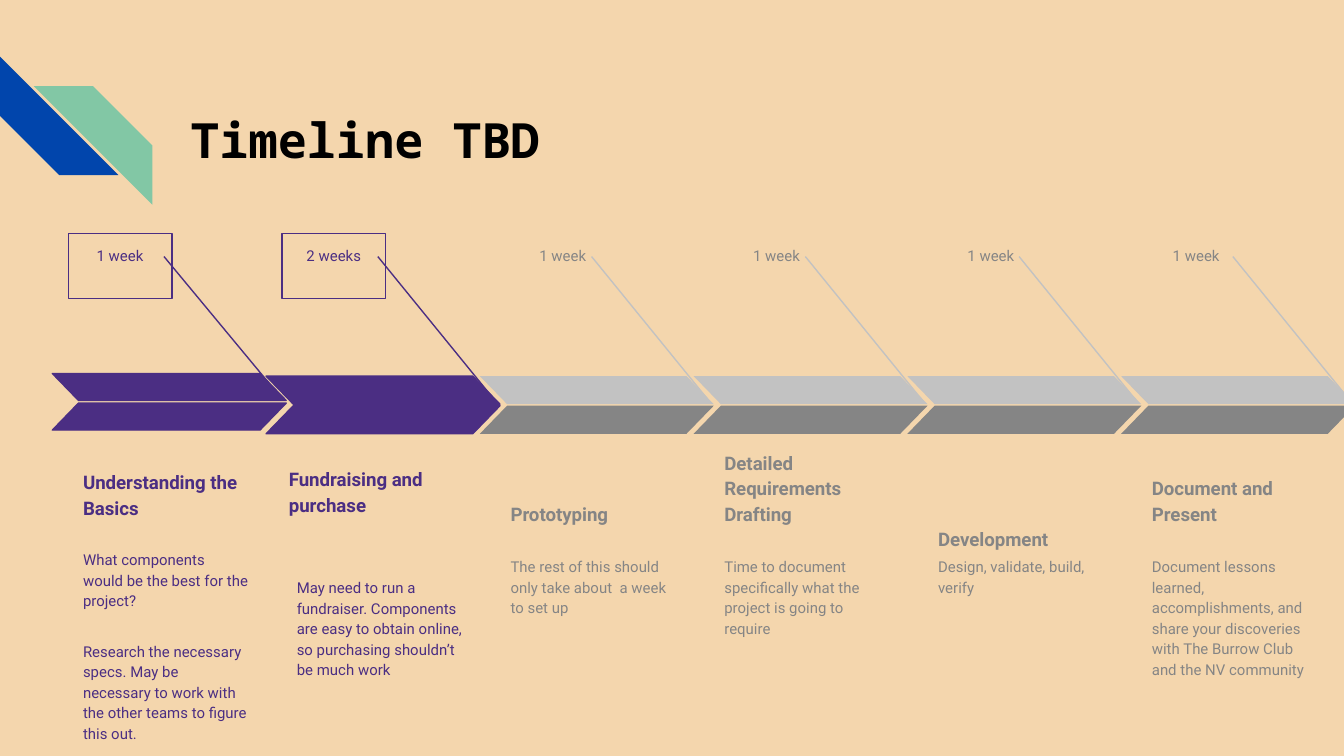
import dataclasses

import lxml.etree
import pptx
import pptx.dml.color
import pptx.enum.shapes
import pptx.enum.text
import pptx.oxml.ns
import pptx.util

Cm = pptx.util.Cm
Pt = pptx.util.Pt
Shape = pptx.enum.shapes.MSO_SHAPE
Anchor = pptx.enum.text.MSO_ANCHOR
Align = pptx.enum.text.PP_ALIGN


@dataclasses.dataclass(frozen=True)
class Theme:
    background: str = "F4D6AD"
    blue: str = "0145AC"
    green: str = "82C7A5"
    black: str = "000000"
    active: str = "4B2E83"
    light: str = "C2C2C2"
    dark: str = "858585"
    title_font: str = "Noto Sans Mono"
    body_font: str = "Roboto"
    title_size: float = 26
    heading_size: float = 10
    body_size: float = 8
    line_width: float = 0.75
    line_spacing: float = 1.15
    paragraph_gap: float = 16


@dataclasses.dataclass(frozen=True)
class Stage:
    duration: str
    heading: str
    details: str
    active: bool = False
    label: tuple = (0.3, 0, 1.96, 0.89)
    arrow_top: float = 2.69
    arrow_height: float = 0.53
    heading_box: tuple = (0.33, 4.11, 3.63, 1.65)
    details_box: tuple = (0.33, 5.82, 3.63, 2.72)


THEME = Theme()
PITCH = 4.04
ARROW_WIDTH = 4.42
ARROW_PITCH = 0.56

STAGES = [
    Stage("1 week", "Understanding the Basics",
          "What components would be the best for the project?\n"
          "Research the necessary specs. May be necessary to work with "
          "the other teams to figure this out.",
          active=True, label=(0.3, 0, 1.96, 1.22), arrow_top=2.64, arrow_height=0.51,
          heading_box=(0.33, 4.04, 3.63, 1.6), details_box=(0.33, 5.69, 3.63, 3.28)),
    Stage("2 weeks", "Fundraising and purchase",
          "May need to run a fundraiser. Components are easy to obtain online, "
          "so purchasing shouldn’t be much work",
          active=True, label=(0.3, 0, 1.96, 1.22),
          heading_box=(0.18, 3.86, 4.06, 1.73), details_box=(0.33, 6.22, 3.63, 2.72)),
    Stage("1 week", "Prototyping",
          "The rest of this should only take about  a week to set up"),
    Stage("1 week", "Detailed Requirements Drafting",
          "Time to document specifically what the project is going to require"),
    Stage("1 week", "Development", "Design, validate, build, verify",
          label=(0.03, 0, 2.24, 0.89), heading_box=(0.33, 4.11, 3.63, 2.11)),
    Stage("1 week", "Document and Present",
          "Document lessons learned, accomplishments, and share your discoveries "
          "with The Burrow Club and the NV community",
          label=(-0.13, 0, 2.24, 0.89)),
]


def rgb(color):
    return pptx.dml.color.RGBColor.from_string(color)


def place(box, origin):
    left, top, width, height = box
    return Cm(origin[0] + left), Cm(origin[1] + top), Cm(width), Cm(height)


def set_line(line, color):
    line.color.rgb = rgb(color)
    line.width = Pt(THEME.line_width)


def add_text(shapes, box, origin, text, size, color, font=THEME.body_font, bold=False,
             anchor=Anchor.TOP, align=Align.LEFT, spacing=THEME.line_spacing):
    shape = shapes.add_textbox(*place(box, origin))
    frame = shape.text_frame
    frame.word_wrap = True
    frame.vertical_anchor = anchor
    frame.margin_left = frame.margin_right = Cm(0.25)
    frame.margin_top = frame.margin_bottom = Cm(0.25)
    frame.text = text
    for index, paragraph in enumerate(frame.paragraphs):
        paragraph.alignment = align
        paragraph.line_spacing = spacing
        if index:
            paragraph.space_before = Pt(THEME.paragraph_gap)
        for run in paragraph.runs:
            run.font.name = font
            run.font.size = Pt(size)
            run.font.bold = bold
            run.font.color.rgb = rgb(color)
    return shape


def add_solid(shapes, kind, box, origin, fill, adjustment, flip=False, outline=None):
    shape = shapes.add_shape(kind, *place(box, origin))
    shape.shadow.inherit = False
    shape.adjustments[0] = adjustment
    shape.fill.solid()
    shape.fill.fore_color.rgb = rgb(fill)
    if outline:
        set_line(shape.line, outline)
    else:
        shape.line.fill.background()
    if flip:
        shape.element.spPr.get_or_add_xfrm().set("flipH", "1")
    return shape


def add_leader(shapes, origin, end_top, color):
    left, top = origin
    connector = shapes.add_connector(
        pptx.enum.shapes.MSO_CONNECTOR.STRAIGHT,
        Cm(left + 2.11), Cm(top + 0.43), Cm(left + 4.34), Cm(top + end_top))
    set_line(connector.line, color)
    lxml.etree.SubElement(connector.element.spPr, pptx.oxml.ns.qn("a:effectLst"))


def add_header(slide, left, top):
    origin = (left, top)
    group = slide.shapes.add_group_shape()
    stripe = add_solid(group.shapes, Shape.DIAGONAL_STRIPE, (0, 0, 2.24, 2.24),
                       origin, THEME.blue, 0.5)
    stripe.rotation = 270
    add_solid(group.shapes, Shape.DIAGONAL_STRIPE, (0.64, 0.56, 2.24, 2.24),
              origin, THEME.green, 0.5, flip=True)
    add_text(slide.shapes, (3.35, 0.81, 23.95, 1.5), origin, "Timeline TBD",
             THEME.title_size, THEME.black, THEME.title_font, bold=True,
             anchor=Anchor.MIDDLE, spacing=1)


def add_stage(slide, stage, left, top):
    origin = (left, top)
    shapes = slide.shapes.add_group_shape().shapes
    upper = THEME.active if stage.active else THEME.light
    lower = THEME.active if stage.active else THEME.dark
    outline = THEME.active if stage.active else None

    add_leader(shapes, origin, stage.arrow_top + 0.48, upper)
    for row, fill in enumerate((upper, lower)):
        box = (0, stage.arrow_top + row * ARROW_PITCH, ARROW_WIDTH, stage.arrow_height)
        add_solid(shapes, Shape.PARALLELOGRAM, box, origin, fill, 0.97,
                  flip=row == 0, outline=outline)
    add_text(shapes, stage.heading_box, origin, stage.heading, THEME.heading_size,
             lower, bold=True, anchor=Anchor.BOTTOM)
    add_text(shapes, stage.details_box, origin, stage.details, THEME.body_size, lower)
    label = add_text(shapes, stage.label, origin, stage.duration, THEME.body_size, lower,
                     align=Align.CENTER if stage.active else Align.RIGHT)
    if stage.active:
        set_line(label.line, THEME.active)


def add_timeline(slide, left, top):
    for index, stage in enumerate(STAGES):
        add_stage(slide, stage, left + index * PITCH, top)


def main():
    presentation = pptx.Presentation()
    presentation.slide_width = Cm(25.4)
    presentation.slide_height = Cm(14.29)
    slide = presentation.slides.add_slide(presentation.slide_layouts[6])
    slide.background.fill.solid()
    slide.background.fill.fore_color.rgb = rgb(THEME.background)
    add_header(slide, 0, 1.07)
    add_timeline(slide, 0.99, 4.42)
    presentation.save("out.pptx")


if __name__ == "__main__":
    main()
